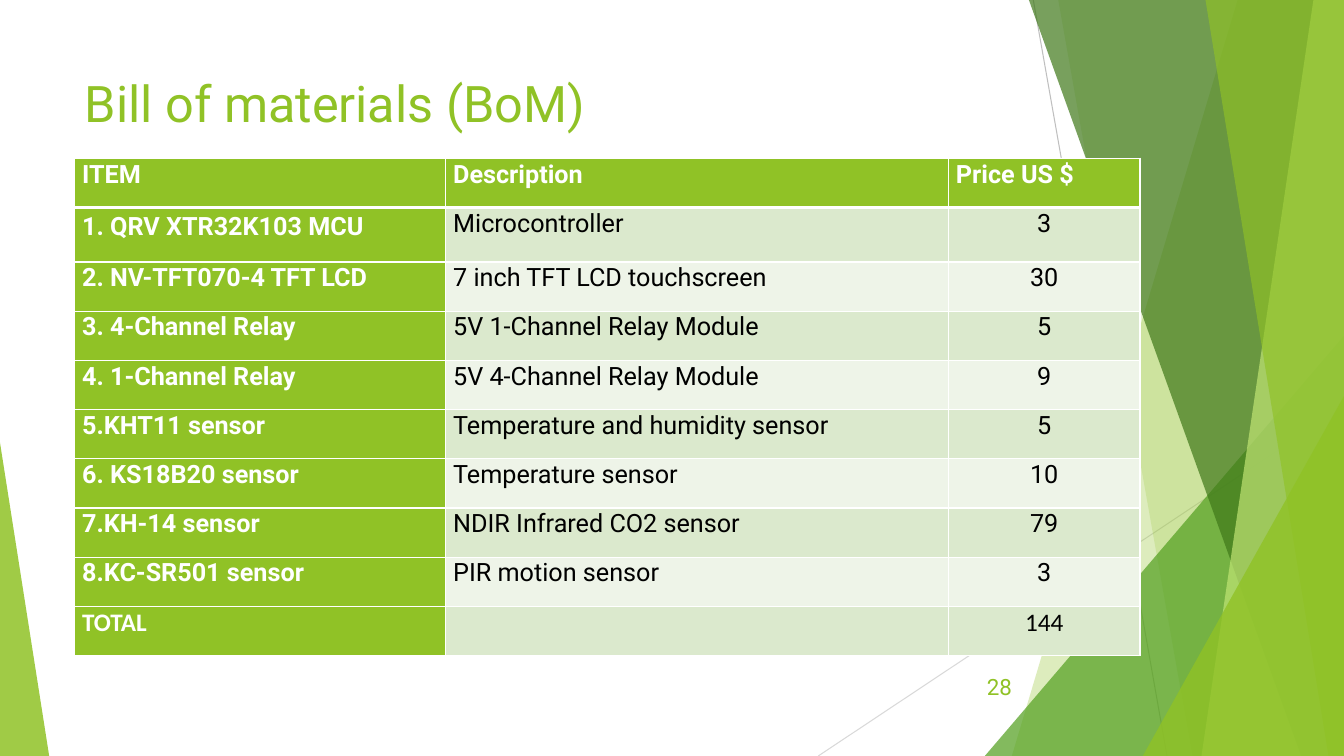
from lxml import etree
from pptx import Presentation
from pptx.dml.color import RGBColor
from pptx.enum.shapes import MSO_CONNECTOR, MSO_SHAPE
from pptx.enum.text import MSO_ANCHOR, PP_ALIGN
from pptx.oxml.ns import qn
from pptx.util import Cm, Pt

LINE = MSO_CONNECTOR.STRAIGHT
TRIANGLE = MSO_SHAPE.ISOSCELES_TRIANGLE
TOP, MIDDLE = MSO_ANCHOR.TOP, MSO_ANCHOR.MIDDLE
LEFT, CENTER, RIGHT = PP_ALIGN.LEFT, PP_ALIGN.CENTER, PP_ALIGN.RIGHT
JUSTIFY = PP_ALIGN.JUSTIFY

WHITE = RGBColor(0xFF, 0xFF, 0xFF)
BLACK = RGBColor(0x00, 0x00, 0x00)
LIME = RGBColor(0x90, 0xC2, 0x26)
GREEN = RGBColor(0x54, 0xA0, 0x21)
FOREST = RGBColor(0x3F, 0x78, 0x19)
PALE = RGBColor(0xC0, 0xE4, 0x74)
SILVER = RGBColor(0xBF, 0xBF, 0xBF)
MIST = RGBColor(0xD9, 0xD9, 0xD9)
BANDS = RGBColor(0xDB, 0xE9, 0xCD), RGBColor(0xEE, 0xF4, 0xE8)

WIDTH, HEIGHT = 33.87, 19.05

ITEMS = [
    ("ITEM", "Description", "Price US $"),
    ("1. QRV XTR32K103 MCU", "Microcontroller", "3"),
    ("2. NV-TFT070-4 TFT LCD", "7 inch TFT LCD touchscreen", "30"),
    ("3. 4-Channel Relay", "5V 1-Channel Relay Module", "5"),
    ("4. 1-Channel Relay", "5V 4-Channel Relay Module", "9"),
    ("5.KHT11 sensor", "Temperature and humidity sensor", "5"),
    ("6. KS18B20 sensor", "Temperature sensor", "10"),
    ("7.KH-14 sensor", "NDIR Infrared CO2 sensor", "79"),
    ("8.KC-SR501 sensor", "PIR motion sensor", "3"),
    ("TOTAL", "", "144"),
]


class Deck:
    face = "Roboto"

    def __init__(self):
        self.deck = Presentation()
        self.deck.slide_width = Cm(WIDTH)
        self.deck.slide_height = Cm(HEIGHT)
        self.slide = self.deck.slides.add_slide(self.deck.slide_layouts[5])
        self.shapes = self.slide.shapes

    def style(self, para, size, color, align=LEFT, bold=False, face=None):
        para.alignment = align
        font = para.font
        font.name = face or self.face
        font.size = Pt(size)
        font.bold = bold
        font.color.rgb = color

    def paint(self, shape, color, alpha):
        shape.shadow.inherit = False
        shape.line.fill.background()
        shape.fill.solid()
        shape.fill.fore_color.rgb = color
        tint = shape.fill._xPr.find(".//" + qn("a:srgbClr"))
        etree.SubElement(tint, qn("a:alpha")).set("val", str(alpha * 1000))

    def line(self, start, end, color):
        line = self.shapes.add_connector(LINE, *map(Cm, start + end))
        line.line.color.rgb = color
        line.line.width = Pt(0.75)
        etree.SubElement(line._element.spPr, qn("a:effectLst"))

    def shard(self, top, foot, color, alpha):
        points = [(WIDTH, 0), (WIDTH, HEIGHT), (foot, HEIGHT)]
        pen = self.shapes.build_freeform(Cm(top), 0)
        pen.add_line_segments([(Cm(x), Cm(y)) for x, y in points])
        self.paint(pen.convert_to_shape(), color, alpha)

    def wedge(self, box, peak, color, alpha):
        shape = self.shapes.add_shape(TRIANGLE, *map(Cm, box))
        shape.adjustments[0] = peak
        self.paint(shape, color, alpha)

    def title(self, text, box):
        title = self.shapes.title
        title.left, title.top, title.width, title.height = map(Cm, box)
        frame = title.text_frame
        frame.text = text
        frame.vertical_anchor = TOP
        self.style(frame.paragraphs[0], 36, LIME)

    def label(self, text, box):
        frame = self.shapes.add_textbox(*map(Cm, box)).text_frame
        frame.word_wrap = True
        frame.vertical_anchor = MIDDLE
        frame.text = text
        self.style(frame.paragraphs[0], 16, LIME, RIGHT)

    def border(self, cell, head):
        props = cell._tc.get_or_add_tcPr()
        for side in "LRTB":
            width = 3 if head and side == "B" else 1
            edge = etree.SubElement(props, qn("a:ln" + side), w=str(Pt(width)))
            fill = etree.SubElement(edge, qn("a:solidFill"))
            etree.SubElement(fill, qn("a:srgbClr"), val=str(WHITE))

    def cell(self, cell, text, row, col):
        head = row == 0
        strong = head or col == 0
        cell.margin_left = cell.margin_right = Cm(0.19)
        cell.margin_top = cell.margin_bottom = 0
        self.border(cell, head)
        cell.fill.solid()
        cell.fill.fore_color.rgb = LIME if strong else BANDS[(row - 1) % 2]
        cell.text = text
        para = cell.text_frame.paragraphs[0]
        para.line_spacing = 1.05
        self.style(para, 18, WHITE if strong else BLACK,
                   CENTER if col == 2 and not head else JUSTIFY, strong,
                   "Calibri" if row == len(ITEMS) - 1 else None)
        if (row, col) == (1, 0):
            para.alignment = LEFT
            para.line_spacing = 1.15
            para.space_after = Pt(10)

    def table(self, rows, left, top, widths, high):
        frame = self.shapes.add_table(len(rows), len(widths), Cm(left), Cm(top),
                                      Cm(sum(widths)), Cm(high * len(rows)))
        table = frame.table
        for col, width in enumerate(widths):
            table.columns[col].width = Cm(width)
        for row, texts in enumerate(rows):
            table.rows[row].height = Cm(1.37 if row == 1 else high)
            for col, text in enumerate(texts):
                self.cell(table.cell(row, col), text, row, col)


def main():
    bom = Deck()
    bom.line((26.04, 0), (29.41, HEIGHT), SILVER)
    bom.line((WIDTH, 10.24), (20.62, HEIGHT), MIST)
    bom.shard(31.19, 25.5, LIME, 30)
    bom.shard(26.67, 30.05, LIME, 20)
    bom.wedge((24.82, 8.46, 9.05, 10.59), 1, GREEN, 72)
    bom.shard(25.93, 32.79, FOREST, 70)
    bom.shard(33.1, 30.28, PALE, 70)
    bom.shard(30.38, 33.48, LIME, 65)
    bom.wedge((28.8, 9.98, 5.07, 9.07), 1, LIME, 80)
    bom.wedge((0, 11.15, 1.24, 7.9), 0, LIME, 85)
    bom.title("Bill of materials (BoM)", (1.88, 1.7, 23.88, 3.66))
    bom.table(ITEMS, 1.88, 3.99, (9.35, 12.67, 4.83), 1.24)
    bom.label("28", (23.85, 16.79, 1.9, 1.02))
    bom.deck.save("out.pptx")


if __name__ == "__main__":
    main()
